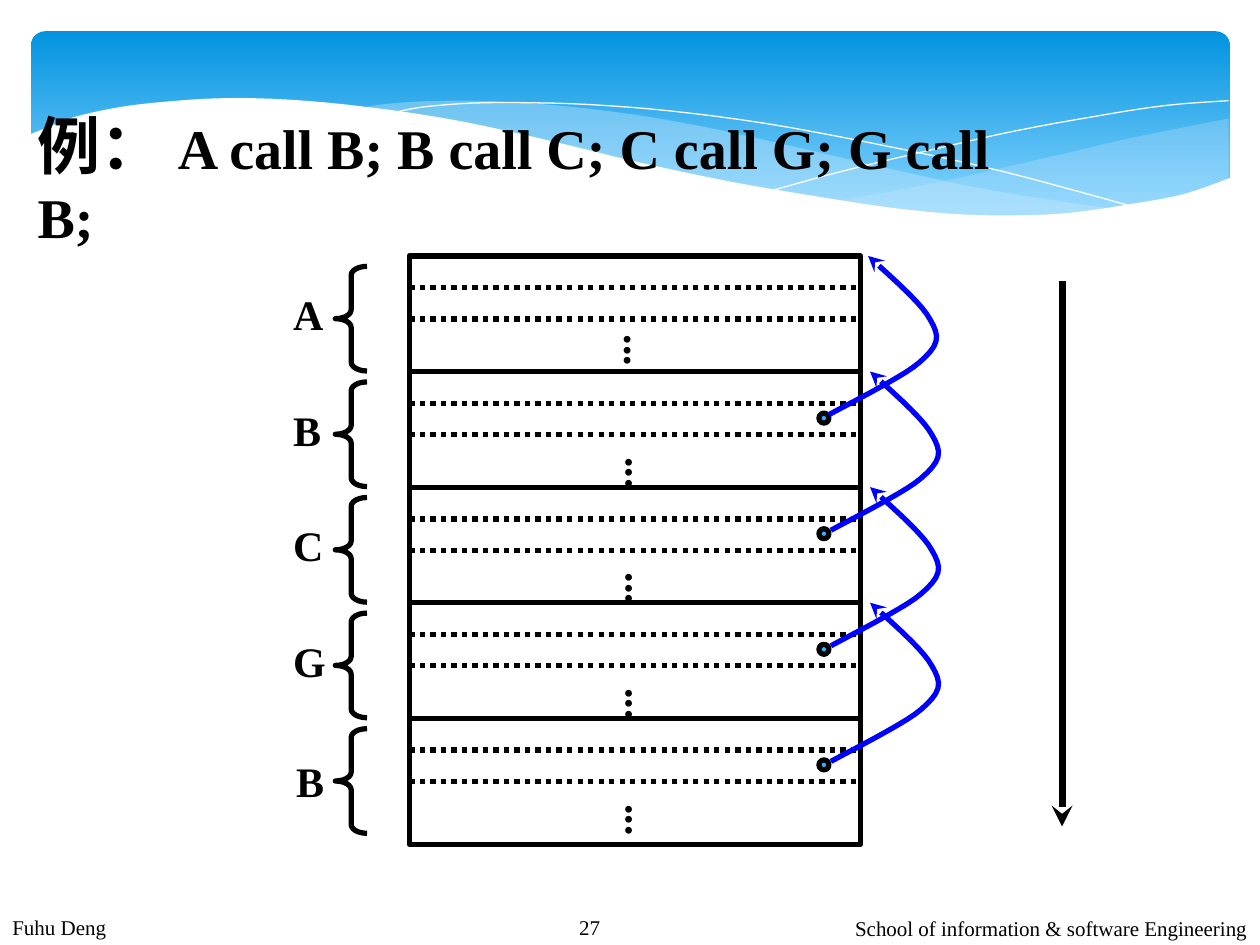
import pptx
import pptx.dml.color
import pptx.enum.dml
import pptx.enum.shapes
import pptx.enum.text
import pptx.oxml
import pptx.oxml.ns
import pptx.util
from lxml import etree

Cm, Pt = pptx.util.Cm, pptx.util.Pt
KIND = pptx.enum.shapes.MSO_SHAPE
ALIGN = pptx.enum.text.PP_ALIGN
FIT = pptx.enum.text.MSO_AUTO_SIZE
HUES = {"ink": "000000", "white": "FFFFFF", "deep": "0293E0", "pale": "83D3FE",
        "mist": "C6E7FC", "dot": "31B6FD", "call": "0000FF"}
RGB = {name: pptx.dml.color.RGBColor.from_string(hue) for name, hue in HUES.items()}
FONT = "Times New Roman"

deck = pptx.Presentation()
deck.slide_width, deck.slide_height = Cm(25.4), Cm(19.05)
slide = deck.slides.add_slide(deck.slide_layouts[6])
shapes = slide.shapes


def trace(*edges, close=False):
    """Draw a freeform whose edges are smooth (Catmull-Rom) curves through knots."""
    dots = []
    for edge in edges:
        ends = [edge[0], *edge, edge[-1]]
        for a, b, c, d in zip(ends, ends[1:], ends[2:], ends[3:]):
            for t in (0, 0.25, 0.5, 0.75):
                dots.append([Cm(q + t / 2 * (r - p + t * (2 * p - 5 * q + 4 * r - s
                                                          + t * (3 * q - p - 3 * r + s))))
                             for p, q, r, s in zip(a, b, c, d)])
        dots.append([Cm(v) for v in edge[-1]])
    pen = shapes.build_freeform(*dots[0], scale=1.0)
    pen.add_line_segments(dots[1:], close=close)
    form = pen.convert_to_shape()
    form.shadow.inherit = False
    form.fill.background()
    form.line.fill.background()
    return form


def write(x, y, w, h, runs, align=ALIGN.LEFT, wrap=True, fit=FIT.SHAPE_TO_FIT_TEXT):
    """Add a text box; each run is (text, size, font, bold)."""
    box = shapes.add_textbox(Cm(x), Cm(y), Cm(w), Cm(h))
    frame = box.text_frame
    frame.word_wrap, frame.auto_size = wrap, fit
    para = frame.paragraphs[0]
    para.alignment = align
    for text, size, font, bold in runs:
        run = para.add_run()
        run.text = text
        run.font.size, run.font.name, run.font.bold = Pt(size), font, bold
        run.font.color.rgb = RGB["ink"]
    return frame


# Banner
card = shapes.add_shape(KIND.ROUNDED_RECTANGLE, Cm(0.63), Cm(0.63), Cm(24.16), Cm(3.96))
card.adjustments[0] = 0.071
card.shadow.inherit = False
card.line.fill.background()
card.fill.gradient()
card.fill.gradient_angle = 270
for stop, hue, place in zip(card.fill.gradient_stops, ("deep", "pale"), (0, 0.9)):
    stop.color.rgb, stop.position = RGB[hue], place

right = trace(
    [(24.77, 2.39), (23.75, 2.59), (22.63, 2.82), (21.87, 3), (20.45, 3.33),
     (19.13, 3.63), (17.93, 3.86), (16.79, 4.06)],
    [(16.79, 4.06), (18.26, 4.24), (19.53, 4.34), (20.68, 4.37), (21.69, 4.32),
     (22.58, 4.22), (23.39, 4.06), (24.1, 3.86), (24.77, 3.61)], close=True)
wide = trace(
    [(22.68, 4.24), (21.26, 4.04), (19.69, 3.78), (17.93, 3.4), (15.98, 2.95),
     (14.1, 2.54), (12.42, 2.26), (10.67, 2.08), (9.17, 2.03), (7.95, 2.08), (7.26, 2.18)],
    [(7.26, 2.18), (8.69, 2.39), (10.26, 2.69), (11.4, 2.95), (13.46, 3.43),
     (15.27, 3.81), (16.89, 4.09), (18.34, 4.27), (19.63, 4.37), (20.78, 4.39),
     (21.77, 4.34), (22.68, 4.24)], close=True)
for wave, alpha in ((right, 29), (wide, 40)):
    wave.fill.solid()
    wave.fill.fore_color.rgb = RGB["mist"]
    tint = wave._element.spPr.xpath(".//a:srgbClr")[0]
    etree.SubElement(tint, pptx.oxml.ns.qn("a:alpha"), val=str(alpha * 1000))

for knots in (
    [(7.85, 2.29), (8.51, 2.16), (9.5, 2.08), (10.57, 2.07), (11.91, 2.11),
     (13.54, 2.24), (15.44, 2.49), (17.65, 2.9), (20.19, 3.45), (23.04, 4.22)],
    [(15.57, 3.84), (17.07, 3.43), (19, 2.97), (20.47, 2.64), (22, 2.36),
     (23.47, 2.13), (24.77, 2.03)],
):
    hair = trace(knots)
    hair.line.color.rgb, hair.line.width = RGB["white"], Pt(0)

base = trace(
    [(24.82, 3.58), (23.88, 3.91), (22.83, 4.11), (21.59, 4.29), (20.55, 4.34),
     (19.33, 4.32), (17.98, 4.19), (16.46, 3.96), (14.71, 3.66), (12.78, 3.25),
     (11.35, 2.9), (9.27, 2.44), (7.42, 2.16), (5.84, 2.01), (4.5, 1.98),
     (3.35, 2.05), (2.41, 2.16), (1.5, 2.36), (0.91, 2.59), (0.58, 2.72)],
    [(0.58, 5.69), (24.82, 5.69)], close=True)
base.fill.solid()
base.fill.fore_color.rgb = RGB["white"]

# Stack of code blocks
left, top, width, step = 8.25, 5.16, 9.1, 2.33
rows = [top + step * i for i in range(5)]
solids = [(KIND.RECTANGLE, left, top, width, 11.86)]
solids += [(KIND.LEFT_BRACE, 6.76, y + 0.21, 0.64, 2.11) for y in rows]
solids += [(KIND.OVAL, 16.51, y + 0.84, 0.2, 0.2) for y in rows[1:]]
for kind, *place in solids:
    solid = shapes.add_shape(kind, *[Cm(v) for v in place])
    solid.shadow.inherit = False
    solid.line.color.rgb, solid.line.width = RGB["ink"], Pt(3)
    if kind == KIND.OVAL:
        solid.fill.solid()
        solid.fill.fore_color.rgb = RGB["dot"]
    else:
        solid.fill.background()
    if kind == KIND.LEFT_BRACE:
        solid.adjustments[0] = 0.277

lines = [(left, y, left + width, y, 3, False) for y in rows[1:]]
lines += [(left, y + gap, left + width, y + gap, 3, True) for y in rows for gap in (0.64, 1.27)]
lines.append((21.41, 5.66, 21.41, 16.66, 4, False))
for *ends, weight, dotted in lines:
    rule = shapes.add_connector(pptx.enum.shapes.MSO_CONNECTOR.STRAIGHT, *[Cm(v) for v in ends])
    rule.line.color.rgb, rule.line.width = RGB["ink"], Pt(weight)
    if dotted:
        rule.line.dash_style = pptx.enum.dml.MSO_LINE.ROUND_DOT
    etree.SubElement(rule._element.spPr, pptx.oxml.ns.qn("a:effectLst"))
heads = [rule]

for i, (name, y) in enumerate(zip("ABCGB", rows)):
    x, drop = (5.72, 0.63) if i == 4 else (5.66, 0.53)
    write(x, y + drop, 1.13, 1.27, [(name, 24, FONT, True)], wrap=False)
    x, drop = (12.04, 1.48) if i else (12.01, 1.34)
    more = write(x, y + drop, 1.55, 0.89, [("...", 24, FONT, True)], wrap=False)
    more._txBody.bodyPr.set("vert", "eaVert")

# Calls from each block back to the one above
bow = [(16.71, 8.36), (17.88, 7.73), (18.53, 7.31), (18.87, 6.88), (18.75, 6.44),
       (18.34, 5.94), (17.5, 5.16)]
for i in range(4):
    shift = 0.04 if i else 0
    call = trace([(x + shift, y + step * i) for x, y in bow])
    call.line.color.rgb, call.line.width = RGB["call"], Pt(3)
    heads.append(call)
for arrow in heads:
    etree.SubElement(arrow.line._get_or_add_ln(), pptx.oxml.ns.qn("a:tailEnd"), type="stealth")

# Title and footer
write(0.51, 2.03, 20.95, 1.8, [("例： ", 36, "Arial", True),
                               ("A call B; B call C; C call G; G call B;", 32, FONT, True)])
for x, y, w, text, align in (
    (0, 18.31, 10.69, "Fuhu Deng", ALIGN.LEFT),
    (13.23, 18.34, 12.17, "School of information & software Engineering", ALIGN.RIGHT),
    (10.69, 18.31, 2.39, "27", ALIGN.CENTER),
):
    write(x, y, w, 0.71, [(text, 12, FONT, False)], align, fit=FIT.NONE)

deck.save("out.pptx")
